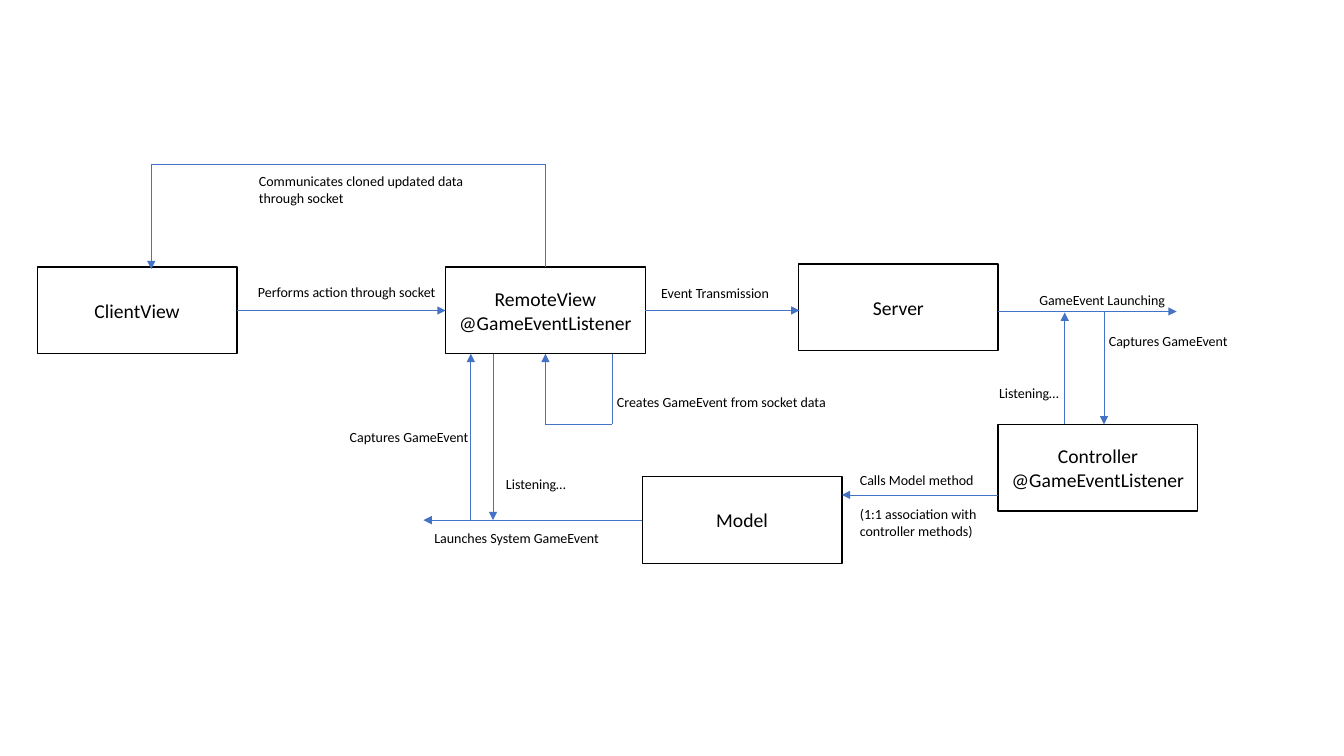
from lxml.etree import SubElement
from pptx import Presentation
from pptx.dml.color import RGBColor
from pptx.enum.shapes import MSO_CONNECTOR, MSO_SHAPE
from pptx.enum.text import MSO_ANCHOR, PP_ALIGN
from pptx.oxml.ns import qn
from pptx.util import Pt

PX = 9144  # EMU per px, 100 px to the inch
TOP, LEFT, BOTTOM, RIGHT = range(4)
BOX_WIDTH, BOX_HEIGHT = 198, 86


class Theme:
    font = "Calibri"
    ink = RGBColor(0, 0, 0)
    paper = RGBColor(255, 255, 255)
    arrow = RGBColor(0x44, 0x72, 0xC4)
    box_size, label_size = Pt(14), Pt(10)
    box_line, arrow_line = Pt(1), Pt(0.5)
    paragraph_gap = Pt(12)


def write(shape, paragraphs, size, align, gap=Pt(0)):
    frame = shape.text_frame
    frame.word_wrap = True
    for index, text in enumerate(paragraphs):
        para = frame.paragraphs[0] if index == 0 else frame.add_paragraph()
        para.text = text
        para.alignment = align
        if index:
            para.space_before = gap
        for span in para.runs:
            for name, value in {"name": Theme.font, "size": size}.items():
                setattr(span.font, name, value)
            span.font.color.rgb = Theme.ink


deck = Presentation()
deck.slide_width, deck.slide_height = 1333 * PX, 750 * PX
page = deck.slides.add_slide(deck.slide_layouts[6])

# Components: left, top, lines
components = {
    "remote": (442, 265, ["RemoteView", "@GameEventListener"]),
    "server": (792, 262, ["Server"]),
    "controller": (990, 421, ["Controller", "@GameEventListener"]),
    "client": (37, 265, ["ClientView"]),
    "model": (637, 473, ["Model"]),
}
boxes = {}
for name, (left, top, lines) in components.items():
    box = page.shapes.add_shape(
        MSO_SHAPE.RECTANGLE, left * PX, top * PX, BOX_WIDTH * PX, BOX_HEIGHT * PX)
    box.shadow.inherit = False
    box.fill.solid()
    box.fill.fore_color.rgb = Theme.paper
    box.line.color.rgb = Theme.ink
    box.line.width = Theme.box_line
    box.text_frame.vertical_anchor = MSO_ANCHOR.MIDDLE
    write(box, lines, Theme.box_size, PP_ALIGN.CENTER)
    boxes[name] = box

# Flows: start, end, arrowhead, joined start, joined end
flows = [
    # Client to server
    ((235, 308), (442, 308), True, ("client", RIGHT), ("remote", LEFT)),
    ((640, 308), (793, 308), True, ("remote", RIGHT), None),
    # Remote view loop
    ((607, 351), (607, 421), False, None, None),
    ((607, 421), (541, 421), False, None, None),
    ((541, 421), (541, 351), True, None, ("remote", BOTTOM)),
    # Server, controller and model
    ((990, 309), (1167, 309), True, None, None),
    ((1056, 421), (1056, 310), True, None, None),
    ((1095, 310), (1095, 421), True, None, None),
    ((990, 491), (835, 491), True, None, None),
    # Model to remote view
    ((637, 516), (420, 516), True, ("model", LEFT), None),
    ((489, 351), (489, 516), True, None, None),
    ((467, 516), (467, 351), True, None, None),
    # Remote view back to client
    ((541, 265), (541, 163), False, ("remote", TOP), None),
    ((541, 163), (150, 163), False, None, None),
    ((150, 163), (150, 267), True, None, None),
]
for start, end, has_head, begin_joint, end_joint in flows:
    flow = page.shapes.add_connector(
        MSO_CONNECTOR.STRAIGHT, *(length * PX for length in start + end))
    if begin_joint:
        flow.begin_connect(boxes[begin_joint[0]], begin_joint[1])
    if end_joint:
        flow.end_connect(boxes[end_joint[0]], end_joint[1])
    flow.line.color.rgb = Theme.arrow
    flow.line.width = Theme.arrow_line
    if has_head:
        SubElement(flow.line._get_or_add_ln(), qn("a:tailEnd"), type="triangle")
    SubElement(flow._element.spPr, qn("a:effectLst"))

# Labels: left, top, width, height, paragraphs
labels = [
    (246, 276, 200, 27, ["Performs action through socket"]),
    (646, 277, 130, 27, ["Event Transmission"]),
    (602, 385, 232, 27, ["Creates GameEvent from socket data"]),
    (1021, 284, 147, 27, ["GameEvent Launching"]),
    (981, 377, 85, 27, ["Listening…"]),
    (1090, 325, 140, 27, ["Captures GameEvent"]),
    (843, 463, 137, 77,
     ["Calls Model method", "(1:1 association with\vcontroller methods)"]),
    (421, 520, 187, 27, ["Launches System GameEvent"]),
    (492, 467, 85, 27, ["Listening…"]),
    (337, 420, 140, 27, ["Captures GameEvent"]),
    (247, 166, 226, 44, ["Communicates cloned updated data\vthrough socket"]),
]
for *place, paragraphs in labels:
    label = page.shapes.add_textbox(*(length * PX for length in place))
    write(label, paragraphs, Theme.label_size, PP_ALIGN.LEFT, Theme.paragraph_gap)

deck.save("out.pptx")
